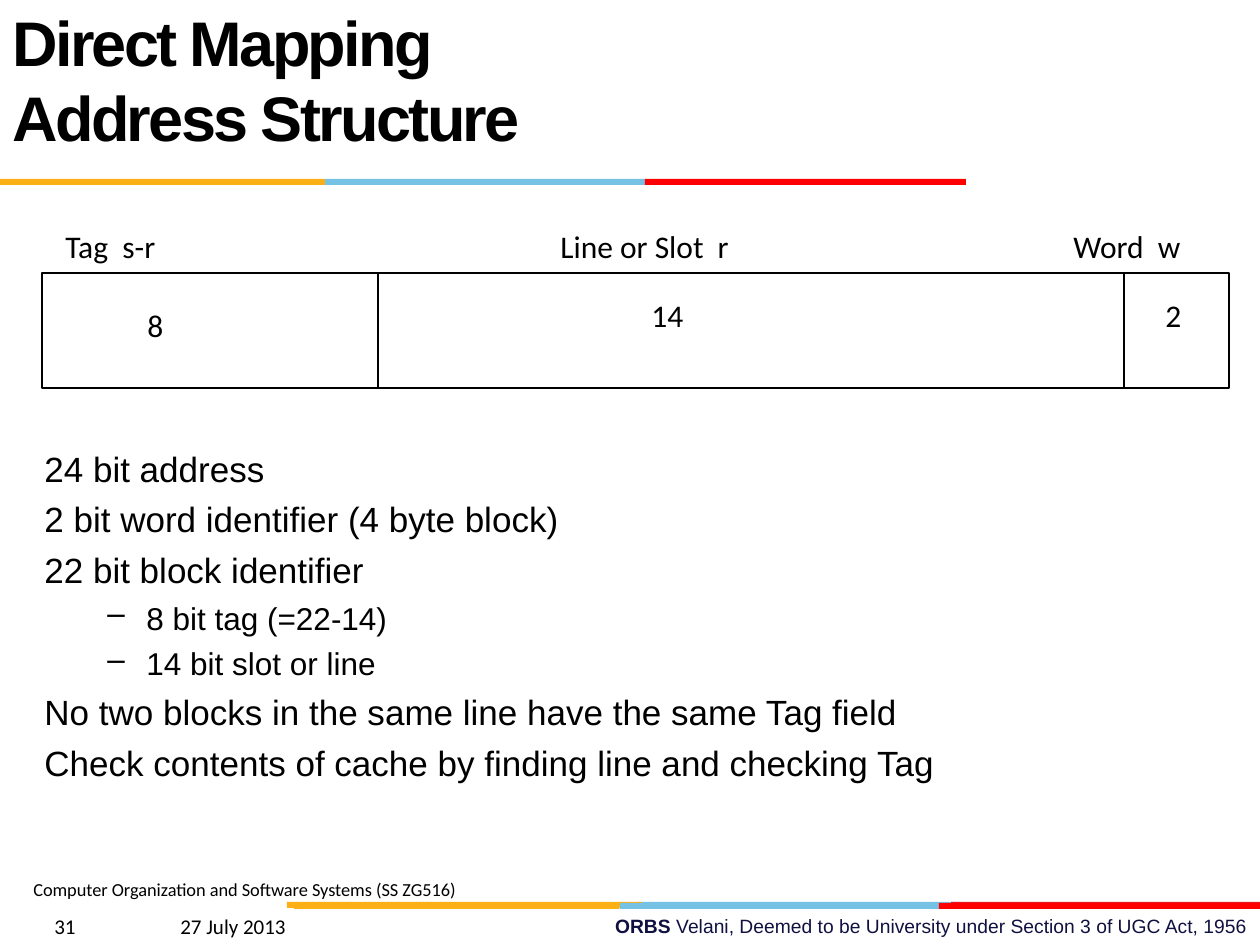
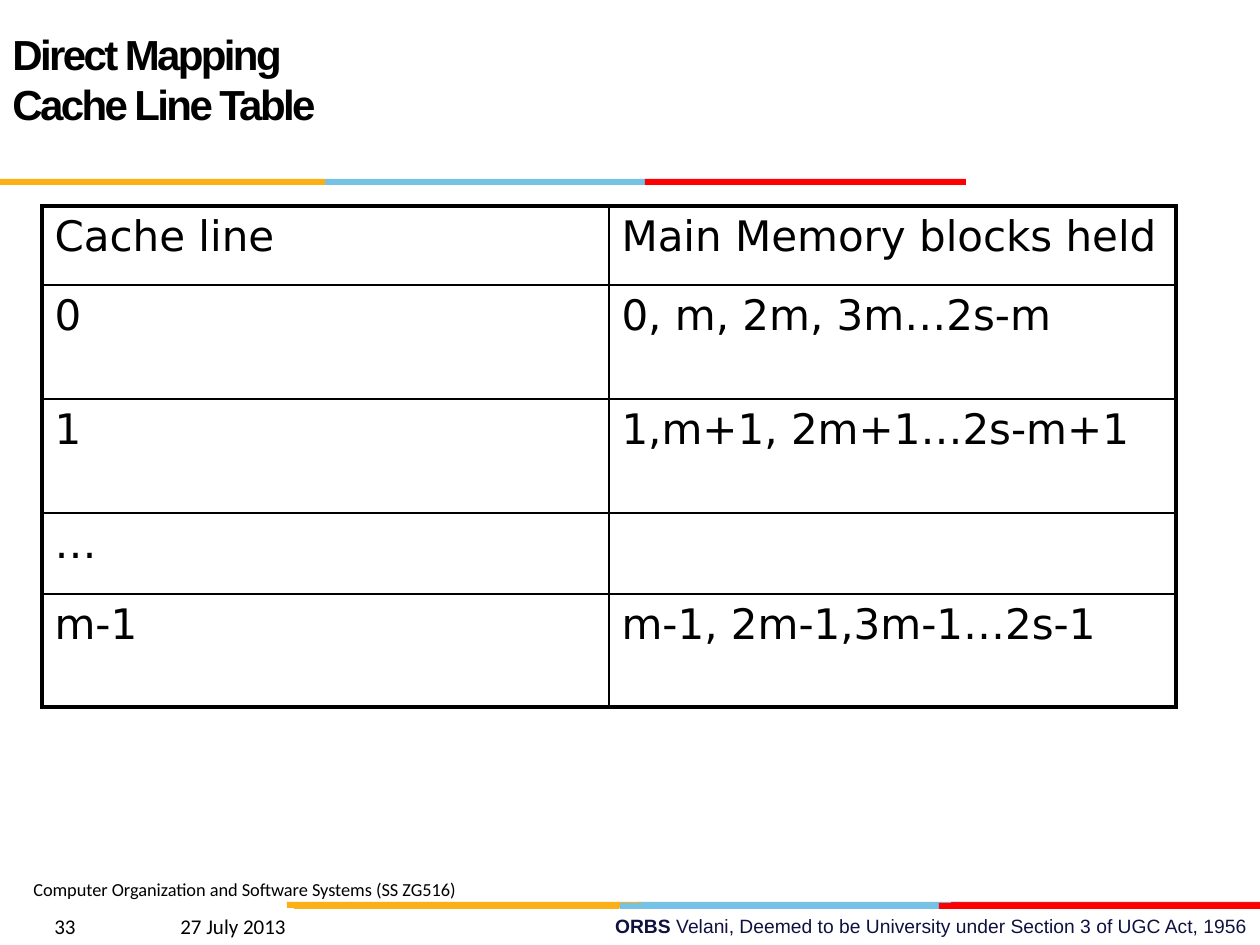
from lxml import etree
from pptx import Presentation
from pptx import util as u
from pptx.dml import color
from pptx.enum import shapes, text
from pptx.oxml import ns

PX = 7257
BLACK, NAVY, WHITE = "000000", "101141", "FFFFFF"
GOLD, SKY, RED, CRIMSON = "FCB017", "76C2E5", "FF0000", "E31C24"

TITLE = {"name": "Arial", "bold": True}
BODY = {"name": "Arial", "size": u.Pt(20)}
SUB = {"name": "Arial", "size": u.Pt(18)}
LABEL = {"name": "Calibri", "size": u.Pt(18)}
COURSE = {"name": "Calibri", "size": u.Pt(10.5)}
DATE = {"name": "Calibri", "size": u.Pt(12)}
OWNER = {"name": "Arial", "size": u.Pt(11)}
CELL = {"name": "DejaVu Sans", "size": u.Pt(24)}

BARS = [
    (638, 902, 321, SKY), (951, 902, 309, CRIMSON), (287, 902, 355, GOLD),
    (620, 903, 321, SKY), (294, 903, 325, GOLD), (939, 903, 321, RED),
    (325, 179, 321, SKY), (0, 179, 325, GOLD), (645, 179, 321, RED),
]


def paint(fill, hex_colour):
    fill.solid()
    fill.fore_color.rgb = color.RGBColor.from_string(hex_colour)


def write(para, words, style, hex_colour=BLACK):
    span = para.add_run()
    span.text = words
    for name, value in style.items():
        setattr(span.font, name, value)
    paint(span.font.fill, hex_colour)
    return span


deck = Presentation()
deck.slide_width, deck.slide_height = 1260 * PX, 945 * PX
pages = []

for number, title_size, title_lines in [
    (31, 36, ["Direct Mapping", "Address Structure"]),
    (33, 24, ["Direct Mapping", "Cache Line Table"]),
]:
    page = deck.slides.add_slide(deck.slide_layouts[6])
    pages.append(page)
    paint(page.background.fill, WHITE)

    box = page.shapes.add_textbox(451 * PX, 908 * PX, 809 * PX, 37 * PX)
    box.text_frame.word_wrap = True
    para = box.text_frame.paragraphs[0]
    para.alignment = text.PP_ALIGN.RIGHT
    write(para, "ORBS ", {**OWNER, "bold": True}, NAVY)
    write(para, "Velani, Deemed to be University under Section 3 of UGC Act, 1956", OWNER, NAVY)

    for left, top, width, hex_colour in BARS:
        bar = page.shapes.add_shape(
            shapes.MSO_SHAPE.RECTANGLE, left * PX, top * PX, width * PX, 6 * PX)
        bar.shadow.inherit = False
        paint(bar.fill, hex_colour)
        bar.line.fill.background()

    for left, top, width, height, words, style in [
        (21, 872, 457, 35, "Computer Organization and Software Systems (SS ZG516)", COURSE),
        (42, 907, 567, 38, f"{number}\t\t27 July 2013", DATE),
    ]:
        box = page.shapes.add_textbox(left * PX, top * PX, width * PX, height * PX)
        box.text_frame.word_wrap = True
        write(box.text_frame.paragraphs[0], words, style)

    box = page.shapes.add_textbox(0, 21 * PX, 1130 * PX, 116 * PX)
    box.text_frame.word_wrap = True
    box.text_frame.vertical_anchor = text.MSO_ANCHOR.MIDDLE
    para = box.text_frame.paragraphs[0]
    for index, words in enumerate(title_lines):
        if index:
            para.add_line_break()
        span = write(para, words, {**TITLE, "size": u.Pt(title_size)})
        span._r.get_or_add_rPr().set("spc", "-150")

address_page, table_page = pages

box = address_page.shapes.add_textbox(32 * PX, 441 * PX, 1144 * PX, 388 * PX)
box.text_frame.word_wrap = True
for index, (level, words) in enumerate([
    (0, "24 bit address"),
    (0, "2 bit word identifier (4 byte block)"),
    (0, "22 bit block identifier"),
    (1, "8 bit tag (=22-14)"),
    (1, "14 bit slot or line"),
    (0, "No two blocks in the same line have the same Tag field"),
    (0, "Check contents of cache by finding line and checking Tag"),
]):
    para = box.text_frame.add_paragraph() if index else box.text_frame.paragraphs[0]
    para.level = level
    para.space_before = u.Pt(4.5 if level else 5)
    margin, indent = [(47, -47), (102, -39)][level]
    settings = para._p.get_or_add_pPr()
    settings.set("marL", str(margin * PX))
    settings.set("indent", str(indent * PX))
    if level:
        etree.SubElement(settings, ns.qn("a:buChar"), char="–")
    write(para, words, SUB if level else BODY)

address = address_page.shapes.add_shape(
    shapes.MSO_SHAPE.RECTANGLE, 42 * PX, 273 * PX, 1187 * PX, 115 * PX)
address.shadow.inherit = False
address.fill.background()
paint(address.line.fill, BLACK)
address.line.width = u.Pt(0.75)

for x in (378, 1124):
    divider = address_page.shapes.add_connector(
        shapes.MSO_CONNECTOR.STRAIGHT, x * PX, 273 * PX, x * PX, 388 * PX)
    paint(divider.line.fill, BLACK)
    divider.line.width = u.Pt(0.75)
    etree.SubElement(divider._element.spPr, ns.qn("a:effectLst"))

for left, top, width, words in [
    (53, 221, 156, "Tag  s-r"),
    (548, 221, 261, "Line or Slot  r"),
    (1061, 221, 173, "Word  w"),
    (135, 300, 47, "8"),
    (639, 290, 67, "14"),
    (1153, 290, 47, "2"),
]:
    box = address_page.shapes.add_textbox(left * PX, top * PX, width * PX, 63 * PX)
    box.text_frame.word_wrap = True
    write(box.text_frame.paragraphs[0], words, LABEL)

rows = [
    (79, "Cache line", "Main Memory blocks held"),
    (114, "0", "0, m, 2m, 3m…2s-m"),
    (114, "1", "1,m+1, 2m+1…2s-m+1"),
    (81, "…", ""),
    (113, "m-1", "m-1, 2m-1,3m-1…2s-1"),
]
height = sum(row[0] for row in rows)
table = table_page.shapes.add_table(
    len(rows), 2, 42 * PX, 206 * PX, 1134 * PX, height * PX).table
table.first_row = table.horz_banding = False
for column in table.columns:
    column.width = 567 * PX
for r, (height, *entries) in enumerate(rows):
    table.rows[r].height = height * PX
    for c, words in enumerate(entries):
        cell = table.cell(r, c)
        settings = cell._tc.get_or_add_tcPr()
        outer = {"lnL": c == 0, "lnR": c == 1, "lnT": r == 0, "lnB": r == len(rows) - 1}
        for side, is_outer in outer.items():
            width = u.Pt(2.25 if is_outer else 1)
            edge = etree.SubElement(settings, ns.qn(f"a:{side}"), w=str(width))
            solid = etree.SubElement(edge, ns.qn("a:solidFill"))
            etree.SubElement(solid, ns.qn("a:srgbClr"), val=BLACK)
        cell.fill.background()
        if words:
            write(cell.text_frame.paragraphs[0], words, CELL)

deck.save("out.pptx")
